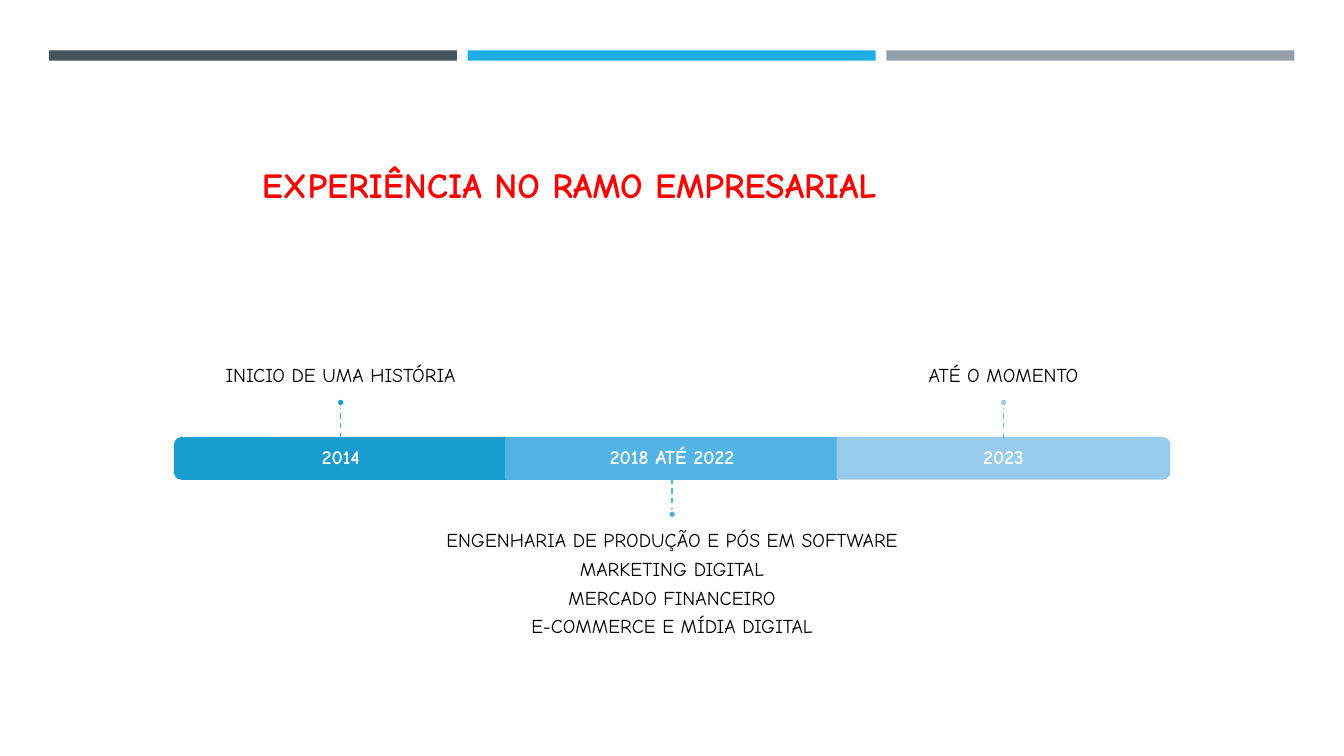
from collections import namedtuple

from lxml.etree import SubElement
from pptx import Presentation
from pptx.dml.color import RGBColor
from pptx.enum.dml import MSO_LINE
from pptx.enum.shapes import MSO_CONNECTOR, MSO_SHAPE
from pptx.enum.text import MSO_ANCHOR as Anchor, PP_ALIGN as Align
from pptx.oxml.ns import qn
from pptx.util import Pt

FONT = "Comic Neue"
Box = namedtuple("Box", "left top width height")
Stage = namedtuple("Stage", "period captions color stem_color rotation above")

HEADER_COLORS = ["465359", "1CADE4", "969FA7"]
STAGES = [
    Stage("2014", ["INICIO DE UMA HISTÓRIA"], "199DCF", "36B3E9", 270, True),
    Stage("2018 ATÉ 2022",
          ["ENGENHARIA DE PRODUÇÃO E PÓS EM SOFTWARE", "MARKETING DIGITAL",
           "MERCADO FINANCEIRO", "E-COMMERCE E MÍDIA DIGITAL"],
          "52B3E5", "48B8EC", 0, False),
    Stage("2023", ["ATÉ O MOMENTO"], "99CBEC", "5ABEEF", 90, True),
]


def rgb(color):
    """Turn a hex string into a colour."""
    return RGBColor.from_string(color)


def points(box):
    """Give the four lengths of a box in points."""
    return [Pt(length) for length in box]


def add_block(slide, kind, box, fill, line=None):
    """Add a flat filled shape, outlined if a line colour is given."""
    shape = slide.shapes.add_shape(kind, *points(box))
    shape.shadow.inherit = False
    shape.fill.solid()
    shape.fill.fore_color.rgb = rgb(fill)
    if line:
        shape.line.color.rgb = rgb(line)
        shape.line.width = Pt(1.75)
    else:
        shape.line.fill.background()
    return shape


def set_margins(frame, left=0, top=0, right=0, bottom=0):
    """Set the four insets of a text frame."""
    frame.margin_left, frame.margin_top = Pt(left), Pt(top)
    frame.margin_right, frame.margin_bottom = Pt(right), Pt(bottom)


def add_text(slide, box, lines, color, anchor, bold=False, top=0, bottom=0):
    """Add centred paragraphs in a text box."""
    frame = slide.shapes.add_textbox(*points(box)).text_frame
    frame.word_wrap = True
    frame.vertical_anchor = anchor
    set_margins(frame, top=top, bottom=bottom)
    frame.text = "\n".join(lines)
    for paragraph in frame.paragraphs:
        paragraph.alignment = Align.CENTER
        paragraph.line_spacing = 0.9
        paragraph.space_after = Pt(5.5)
        paragraph.font.name = FONT
        paragraph.font.size = Pt(14)
        paragraph.font.bold = bold
        paragraph.font.color.rgb = rgb(color)


def add_header(slide, box, gap=7.6):
    """Draw the row of coloured strips across the box."""
    count = len(HEADER_COLORS)
    width = (box.width - gap * (count - 1)) / count
    for index, color in enumerate(HEADER_COLORS):
        left = box.left + index * (width + gap)
        add_block(slide, MSO_SHAPE.RECTANGLE,
                  Box(left, box.top, width, box.height), color)


def add_title(slide, box, text):
    """Place the title placeholder in the box."""
    title = slide.shapes.title
    title.left, title.top, title.width, title.height = points(box)
    frame = title.text_frame
    frame.text = text
    frame.word_wrap = True
    frame.vertical_anchor = Anchor.MIDDLE
    set_margins(frame)
    paragraph = frame.paragraphs[0]
    paragraph.alignment = Align.LEFT
    paragraph.font.name = FONT
    paragraph.font.size = Pt(25.2)
    paragraph.font.bold = True
    paragraph.font.color.rgb = rgb("FF0000")


def add_segment(slide, box, stage):
    """Draw one part of the bar, turned so its round corners face out."""
    if not stage.rotation:
        return add_block(slide, MSO_SHAPE.RECTANGLE, box, stage.color, stage.color)
    upright = Box(box.left + (box.width - box.height) / 2,
                  box.top - (box.width - box.height) / 2, box.height, box.width)
    segment = add_block(slide, MSO_SHAPE.ROUND_2_SAME_RECTANGLE, upright,
                        stage.color, stage.color)
    segment.rotation = stage.rotation
    return segment


def add_stage(slide, box, stage, stem=22.7, dot=5.76, caption_size=(394.6, 100)):
    """Draw a bar segment with its period, stem, dot and caption."""
    segment = add_segment(slide, box, stage)
    add_text(slide, box, [stage.period], "FFFFFF", Anchor.MIDDLE, bold=True,
             top=8.6, bottom=8.6)
    center = box.left + box.width / 2
    width, height = caption_size
    if stage.above:
        start = box.top
        end = start - stem
        dot_top = end - dot
        caption_top, anchor, insets = dot_top - height, Anchor.BOTTOM, {"bottom": 8.6}
    else:
        start = box.top + box.height
        end = dot_top = start + stem
        caption_top, anchor, insets = end + dot, Anchor.TOP, {"top": 8.6}
    add_text(slide, Box(center - width / 2, caption_top, width, height),
             stage.captions, "000000", anchor, **insets)
    connector = slide.shapes.add_connector(
        MSO_CONNECTOR.STRAIGHT, Pt(center), Pt(start), Pt(center), Pt(end))
    if not stage.rotation:
        connector.begin_connect(segment, 0 if stage.above else 2)
    connector.line.color.rgb = rgb(stage.stem_color)
    connector.line.width = Pt(1)
    connector.line.dash_style = MSO_LINE.DASH
    SubElement(connector._element.spPr, qn("a:effectLst"))
    add_block(slide, MSO_SHAPE.OVAL, Box(center - dot / 2, dot_top, dot, dot),
              stage.color, "FFFFFF")


def add_timeline(slide, box):
    """Split the box into equal stages."""
    width = box.width / len(STAGES)
    for index, stage in enumerate(STAGES):
        add_stage(slide, Box(box.left + index * width, box.top, width, box.height),
                  stage)


def main():
    """Build and save the slide."""
    presentation = Presentation()
    presentation.slide_width, presentation.slide_height = Pt(960), Pt(540)
    slide = presentation.slides.add_slide(presentation.slide_layouts[5])
    add_header(slide, Box(35, 36, 889.6, 7.4))
    add_title(slide, Box(187, 112, 700, 40), "EXPERIÊNCIA NO RAMO EMPRESARIAL")
    add_timeline(slide, Box(125, 313, 710.2, 28.8))
    presentation.save("out.pptx")


if __name__ == "__main__":
    main()
